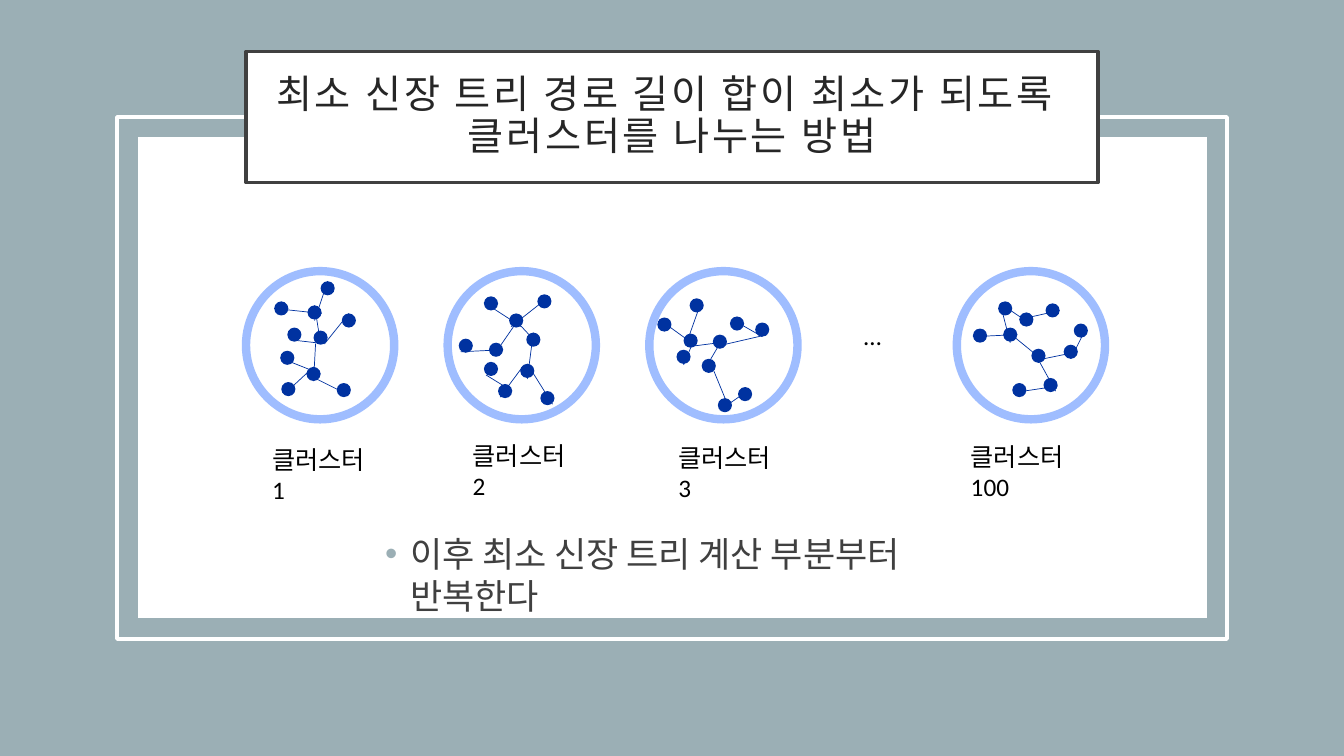
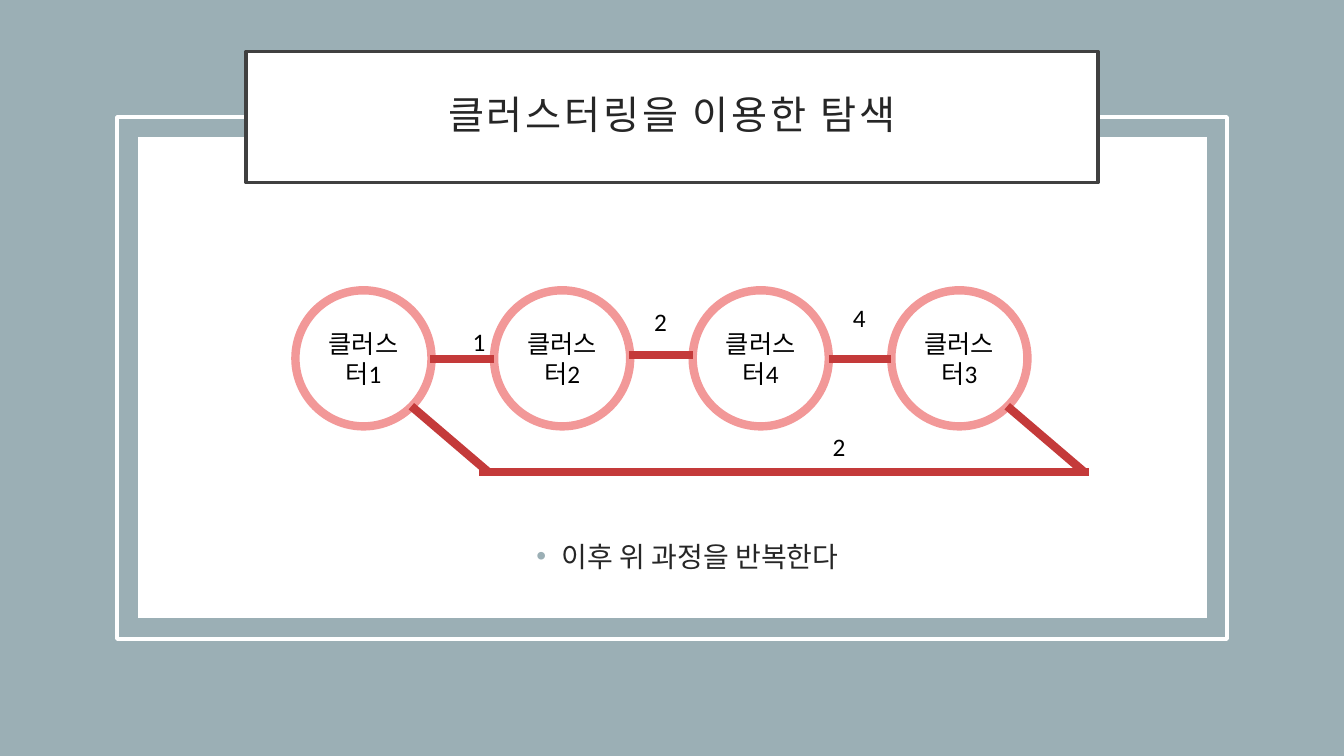
from lxml.etree import SubElement
from pptx import Presentation
from pptx.dml.color import RGBColor
from pptx.enum.shapes import MSO_CONNECTOR, MSO_SHAPE
from pptx.enum.text import MSO_ANCHOR, MSO_AUTO_SIZE, PP_ALIGN
from pptx.oxml.ns import qn
from pptx.util import Inches, Pt

FONT = "Calibri"
COLORS = {
    "background": "9BAFB5", "white": "FFFFFF", "title_line": "404040", "title": "262626",
    "list": "404040", "black": "000000", "ring": "9FBDFF", "node": "0032A0",
    "red_ring": "F29898", "route": "C43A3A",
}
RING, NODE, STOP = 1.47, 0.14, 1.35
RING_TOP, STOP_TOP = 2.69, 2.88

CLUSTERS = [
    {"left": 2.44, "label": ("클러스터 1", 2.6, 4.36, 1.15),
     "nodes": [(2.72, 2.99), (3.11, 3.28), (2.78, 3.48), (3.18, 2.79), (3.05, 3.03),
               (3.04, 3.64), (2.79, 3.79), (3.39, 3.11), (3.34, 3.8), (2.85, 3.25)],
     "edges": [(2.72, 3.06, 3.19, 3.11), (3.25, 2.79, 3.12, 3.18), (3.12, 3.03, 3.18, 3.41),
               (3.46, 3.11, 3.22, 3.41), (3.13, 3.41, 3.11, 3.78), (2.78, 3.55, 3.18, 3.71),
               (3.11, 3.64, 2.82, 3.91), (3.04, 3.71, 3.46, 3.92), (3.22, 3.41, 2.87, 3.37)]},
    {"left": 4.44, "label": ("클러스터 2", 4.59, 4.32, 1.15),
     "nodes": [(4.85, 3.4), (5.05, 3.11), (4.55, 3.36), (5.33, 2.92), (4.8, 2.94),
               (5.16, 3.61), (4.94, 3.81), (5.22, 3.3), (5.36, 3.88), (4.8, 3.59)],
     "edges": [(4.8, 3, 5.17, 3.24), (4.97, 3.42, 5.17, 3.13), (5.07, 3.24, 5.45, 2.94),
               (5.07, 3.13, 5.34, 3.42), (4.57, 3.49, 4.99, 3.47), (5.29, 3.3, 5.23, 3.76),
               (5.23, 3.61, 5.48, 4.01), (5.19, 3.63, 4.96, 3.94), (5.08, 3.88, 4.82, 3.72)]},
    {"left": 6.44, "label": ("클러스터 3", 6.63, 4.34, 1.15),
     "nodes": [(6.52, 3.15), (7.07, 3.32), (6.78, 3.31), (6.84, 2.96), (6.96, 3.56),
               (6.71, 3.47), (7.49, 3.2), (7.12, 3.95), (7.32, 3.84), (7.24, 3.14)],
     "edges": [(6.54, 3.17, 6.9, 3.43), (6.78, 3.62, 6.9, 3.33), (6.8, 3.43, 6.96, 2.98),
               (6.9, 3.43, 7.21, 3.39), (7.18, 3.34, 6.98, 3.68), (7.61, 3.32, 7.09, 3.44),
               (7.08, 3.68, 7.24, 4.07), (7.14, 4.07, 7.44, 3.86), (7.56, 3.34, 7.35, 3.22)]},
    {"left": 9.49, "label": ("클러스터 100", 9.53, 4.33, 1.4),
     "nodes": [(9.65, 3.26), (9.95, 3.25), (10.11, 3.1), (9.9, 2.99), (10.35, 3.75),
               (10.04, 3.8), (10.37, 3.01), (10.23, 3.46), (10.55, 3.42), (10.65, 3.21)],
     "edges": [(9.65, 3.34, 10.09, 3.32), (9.92, 3.01, 10.02, 3.4), (9.92, 3.01, 10.23, 3.22),
               (10.11, 3.17, 10.51, 3.08), (9.97, 3.27, 10.35, 3.58), (10.25, 3.58, 10.69, 3.49),
               (10.25, 3.48, 10.47, 3.88), (10.62, 3.56, 10.76, 3.28), (10.49, 3.83, 10.09, 3.89)]},
]
ROUTE = [(4.27, 3.56, 4.9, 3.56), (6.24, 3.52, 6.87, 3.52), (8.22, 3.56, 8.84, 3.56),
         (4.75, 4.68, 10.8, 4.68), (4.84, 4.68, 4.08, 4.03), (10.75, 4.68, 9.99, 4.03)]
COSTS = [("2", 6.39, 2.99), ("4", 8.36, 2.95), ("1", 4.59, 3.19), ("2", 8.16, 4.23)]


def rgb(name):
    """Return the named colour."""
    return RGBColor.from_string(COLORS[name])


def write(sp, text, size=18, color="black", align=PP_ALIGN.LEFT, anchor=MSO_ANCHOR.TOP,
          line_spacing=1.0, space_before=0, tracking=None, inset=None):
    """Write one formatted paragraph into a shape."""
    tf = sp.text_frame
    tf.word_wrap, tf.auto_size, tf.vertical_anchor = True, MSO_AUTO_SIZE.NONE, anchor
    if inset is not None:
        tf.margin_left = tf.margin_right = tf.margin_top = tf.margin_bottom = Inches(inset)
    p = tf.paragraphs[0]
    p.text = text
    p.alignment, p.line_spacing, p.space_before = align, line_spacing, Pt(space_before)
    for r in p.runs:
        r.font.name, r.font.size, r.font.color.rgb = FONT, Pt(size), rgb(color)
        if tracking is not None:
            r.font._element.set("spc", str(tracking * 100))
    return p


def place(sp, left, top, width, height):
    """Move and size a shape."""
    sp.left, sp.top, sp.width, sp.height = map(Inches, (left, top, width, height))


def paint(sp, fill=None, line=None, weight=1):
    """Set the fill and outline of a shape."""
    if fill:
        sp.fill.solid()
        sp.fill.fore_color.rgb = rgb(fill)
    else:
        sp.fill.background()
    if line:
        sp.line.color.rgb, sp.line.width = rgb(line), Pt(weight)
    else:
        sp.line.fill.background()


def add_shape(s, kind, left, top, width, height, **style):
    """Add a flat preset shape."""
    sp = s.shapes.add_shape(kind, *map(Inches, (left, top, width, height)))
    sp.shadow.inherit = False
    paint(sp, **style)
    return sp


def add_circle(s, left, top, size, **style):
    """Add a circle."""
    return add_shape(s, MSO_SHAPE.OVAL, left, top, size, size, **style)


def add_line(s, ends, color, weight):
    """Add a straight line without a shadow."""
    line = s.shapes.add_connector(MSO_CONNECTOR.STRAIGHT, *map(Inches, ends))
    line.line.color.rgb, line.line.width = rgb(color), Pt(weight)
    SubElement(line._element.spPr, qn("a:effectLst"))


def add_label(s, text, left, top, width, height=0.4):
    """Add a text box."""
    write(s.shapes.add_textbox(*map(Inches, (left, top, width, height))), text)


def add_list(s, text, box, size, color):
    """Fill the body placeholder with a bulleted line."""
    sp = s.placeholders[1]
    place(sp, *box)
    pPr = write(sp, text, size=size, color=color, space_before=10)._p.get_or_add_pPr()
    pPr.set("marL", str(Inches(0.25)))
    pPr.set("indent", str(-Inches(0.25)))
    SubElement(SubElement(pPr, qn("a:buClr")), qn("a:srgbClr")).set("val", COLORS["background"])
    SubElement(pPr, qn("a:buFont")).set("typeface", "Arial")
    SubElement(pPr, qn("a:buChar")).set("char", "•")


def new_slide(prs, title):
    """Add a slide with the shared frame and title box."""
    s = prs.slides.add_slide(prs.slide_layouts[1])
    panel = add_shape(s, MSO_SHAPE.RECTANGLE, 1.37, 1.36, 10.6, 4.77, fill="white")
    frame = add_shape(s, MSO_SHAPE.RECTANGLE, 1.16, 1.16, 11.01, 5.18, line="white", weight=2.5)
    for sp in (frame, panel):
        s.shapes._spTree.insert(2, sp._element)
    sp = s.shapes.title
    place(sp, 2.44, 0.51, 8.45, 1.3)
    paint(sp, fill="white", line="title_line", weight=2.5)
    write(sp, title, size=28, color="title", align=PP_ALIGN.CENTER, anchor=MSO_ANCHOR.MIDDLE,
          line_spacing=0.9, tracking=2, inset=0.2)
    return s


def add_cluster(s, cluster):
    """Draw a ring holding a small tree, with its label."""
    add_circle(s, cluster["left"], RING_TOP, RING, line="ring", weight=6)
    for left, top in cluster["nodes"]:
        add_circle(s, left, top, NODE, fill="node")
    for ends in cluster["edges"]:
        add_line(s, ends, "node", 0.5)
    add_label(s, *cluster["label"])


def build_partition(prs):
    """Build the slide on dividing into clusters."""
    s = new_slide(prs, "최소 신장 트리 경로 길이 합이 최소가 되도록 \n클러스터를 나누는 방법")
    for cluster in CLUSTERS:
        add_cluster(s, cluster)
    add_label(s, "…", 8.47, 3.13, 0.45)
    add_list(s, "이후 최소 신장 트리 계산 부분부터 반복한다", (3.72, 5.23, 6.07, 0.57), 25, "list")


def build_search(prs):
    """Build the slide on searching across clusters."""
    s = new_slide(prs, "클러스터링을 이용한 탐색")
    for i, number in enumerate((1, 2, 4, 3)):
        sp = add_circle(s, 2.93 + 1.97 * i, STOP_TOP, STOP, line="red_ring", weight=6)
        write(sp, f"클러스터{number}", align=PP_ALIGN.CENTER, anchor=MSO_ANCHOR.MIDDLE)
    for ends in ROUTE:
        add_line(s, ends, "route", 6)
    for text, left, top in COSTS:
        add_label(s, text, left, top, 0.33)
    add_list(s, "이후 위 과정을 반복한다", (5.22, 5.3, 8.58, 0.92), 20, "title")


def main():
    """Build and save the presentation."""
    prs = Presentation()
    prs.slide_width, prs.slide_height = Inches(13.33), Inches(7.5)
    fill = prs.slide_master.background.fill
    fill.solid()
    fill.fore_color.rgb = rgb("background")
    build_partition(prs)
    build_search(prs)
    prs.save("out.pptx")


main()
